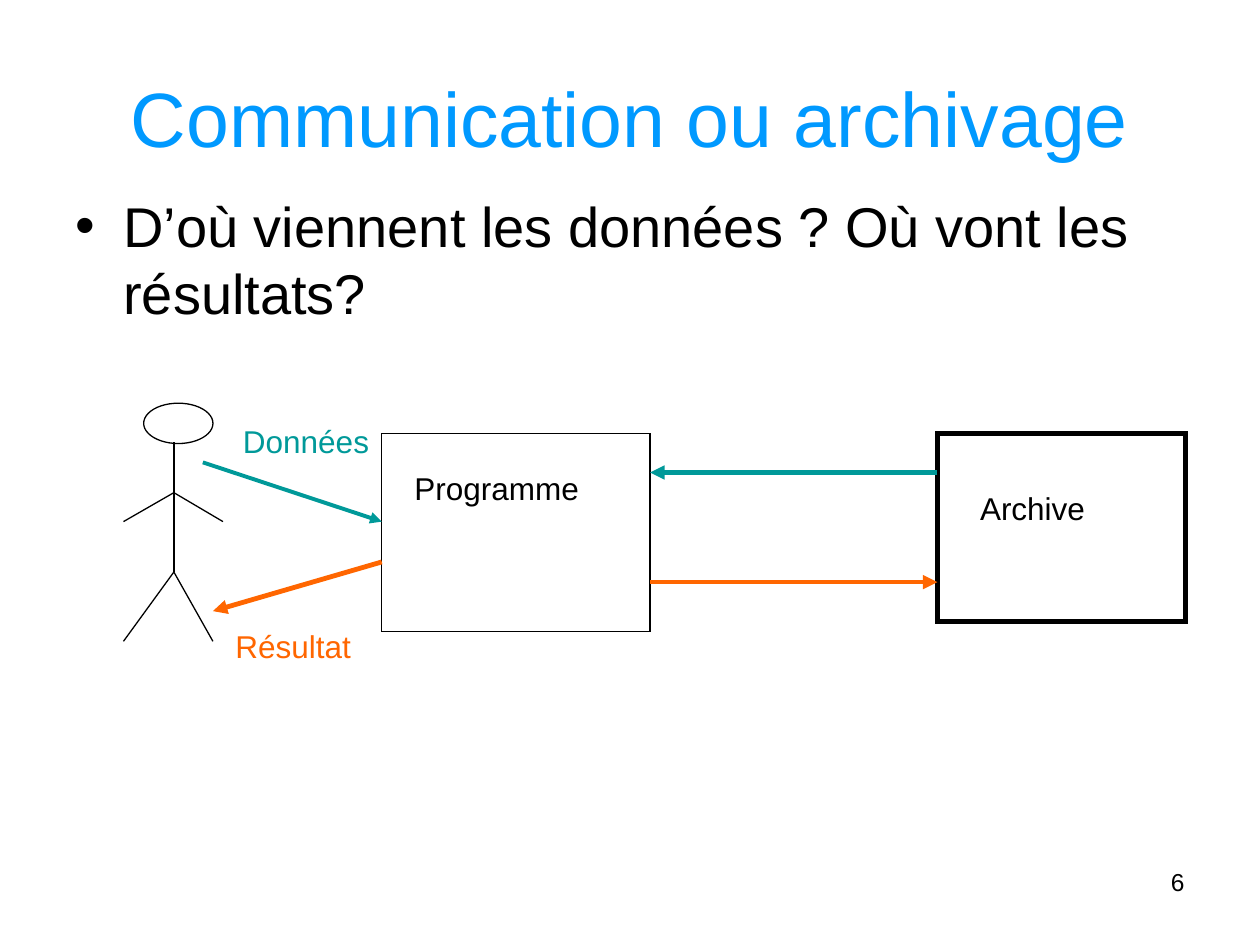
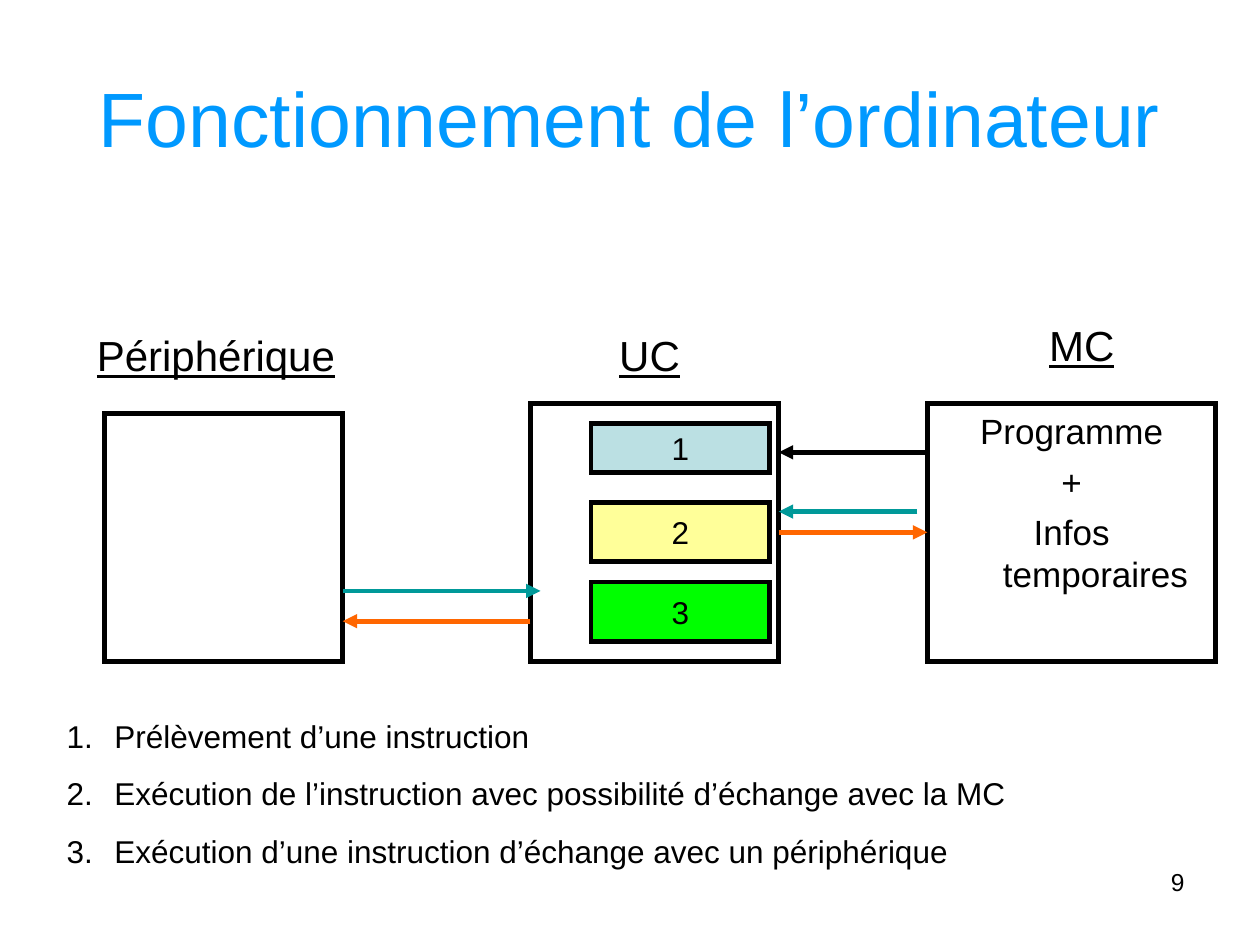
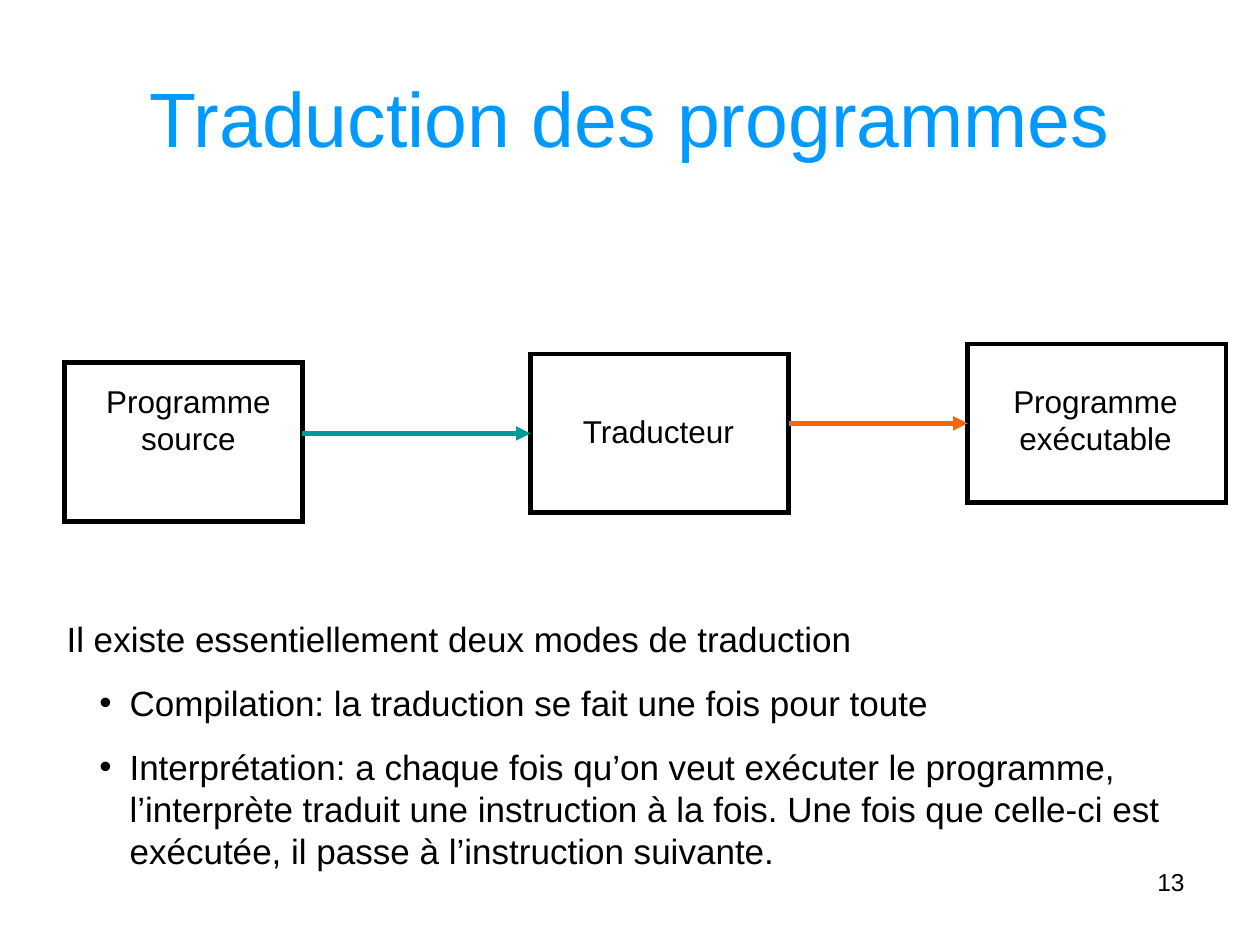
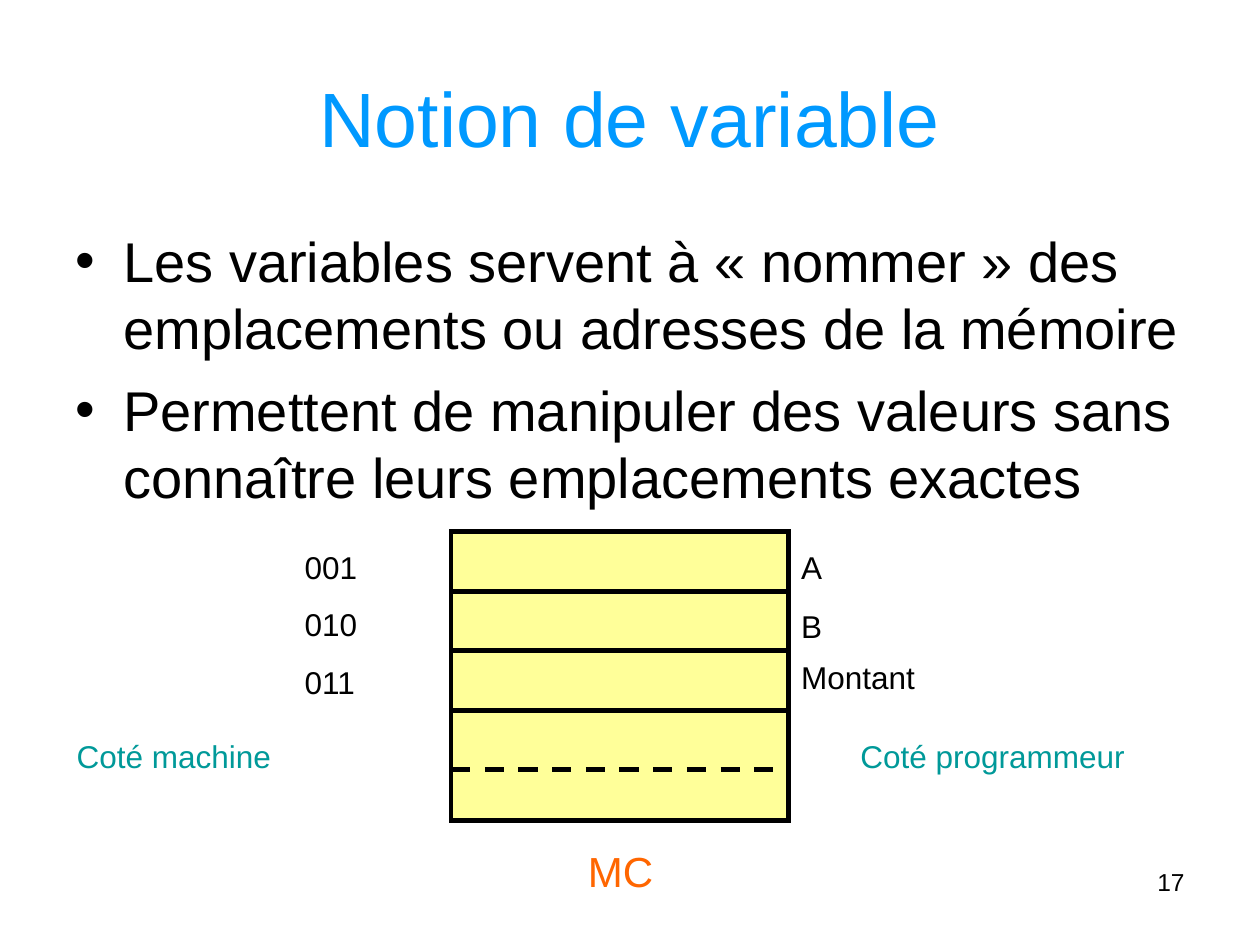
from dataclasses import dataclass

from pptx import Presentation
from pptx.dml.color import RGBColor
from pptx.enum.dml import MSO_LINE
from pptx.enum.shapes import MSO_CONNECTOR, MSO_SHAPE
from pptx.enum.text import MSO_ANCHOR, PP_ALIGN
from pptx.oxml.ns import qn
from pptx.util import Inches, Pt
from lxml.etree import SubElement


@dataclass(frozen=True)
class Theme:
    font: str = "Arial"
    title: str = "0099FF"
    ink: str = "000000"
    data: str = "009999"
    result: str = "FF6600"
    memory: str = "FFFF99"
    register: str = "BBE0E3"
    exchange: str = "00FF00"
    title_size: int = 44
    body_size: int = 32
    heading_size: int = 24
    text_size: int = 20
    label_size: int = 18
    number_size: int = 14
    thin: float = 0.75
    medium: float = 2.25
    thick: float = 2.75


THEME = Theme()
CENTER, RIGHT = PP_ALIGN.CENTER, PP_ALIGN.RIGHT
HANGING = (0.38, -0.38)


# Text
def set_bullet(paragraph, bullet):
    """Give the paragraph a bullet character, or automatic numbers for "1."."""
    properties = paragraph._p.get_or_add_pPr()
    color = SubElement(properties, qn("a:buClr"))
    SubElement(color, qn("a:srgbClr"), val=THEME.ink)
    SubElement(properties, qn("a:buFont"), typeface=THEME.font)
    if bullet == "1.":
        SubElement(properties, qn("a:buAutoNum"), type="arabicPeriod")
    else:
        SubElement(properties, qn("a:buChar"), char=bullet)


def format_paragraph(paragraph, size, color=THEME.ink, align=None, before=0,
                     indent=None, bullet=None, underline=False):
    paragraph.alignment = align
    paragraph.space_before = Pt(before)
    if indent:
        properties = paragraph._p.get_or_add_pPr()
        for name, length in zip(("marL", "indent"), indent):
            properties.set(name, str(Inches(length)))
    if bullet:
        set_bullet(paragraph, bullet)
    for run in paragraph.runs:
        run.font.name = THEME.font
        run.font.size = Pt(size)
        run.font.color.rgb = RGBColor.from_string(color)
        if underline:
            run.font.underline = True


def write(shape, text, size, anchor=MSO_ANCHOR.TOP, wrap=True, **style):
    text_frame = shape.text_frame
    text_frame.text = text
    text_frame.word_wrap = wrap
    text_frame.vertical_anchor = anchor
    for paragraph in text_frame.paragraphs:
        format_paragraph(paragraph, size, **style)


def add_text(slide, box, text, size=THEME.label_size, **style):
    shape = slide.shapes.add_textbox(*map(Inches, box))
    write(shape, text, size, **style)
    return shape


def add_bullets(slide, box, text):
    add_text(slide, box, text, THEME.body_size, before=8, indent=HANGING, bullet="•")


def add_heading(slide, box, text, **style):
    add_text(slide, box, text, THEME.heading_size, **style)


# Shapes and lines
def add_to_outline(shape, tag, **attributes):
    outline = shape._element.spPr.find(qn("a:ln"))
    SubElement(outline, qn(tag), **attributes)


def add_box(slide, box, fill=None, weight=THEME.thick, kind=MSO_SHAPE.RECTANGLE):
    shape = slide.shapes.add_shape(kind, *map(Inches, box))
    shape.shadow.inherit = False
    if fill:
        shape.fill.solid()
        shape.fill.fore_color.rgb = RGBColor.from_string(fill)
    else:
        shape.fill.background()
    shape.line.color.rgb = RGBColor.from_string(THEME.ink)
    shape.line.width = Pt(weight)
    add_to_outline(shape, "a:miter", lim="800000")
    return shape


def add_line(slide, start, end, color=THEME.ink, weight=THEME.thick, dashed=False):
    connector = slide.shapes.add_connector(
        MSO_CONNECTOR.STRAIGHT, *map(Inches, (*start, *end)))
    connector.line.color.rgb = RGBColor.from_string(color)
    connector.line.width = Pt(weight)
    if dashed:
        connector.line.dash_style = MSO_LINE.DASH
    SubElement(connector._element.spPr, qn("a:effectLst"))
    return connector


def add_arrow(slide, start, end, color, weight=THEME.thick):
    connector = add_line(slide, start, end, color, weight)
    add_to_outline(connector, "a:tailEnd", type="triangle")
    return connector


def add_stick_figure(slide):
    add_box(slide, (1.14, 3.2, 0.55, 0.32), weight=THEME.thin, kind=MSO_SHAPE.OVAL)
    neck, shoulder, hip = (1.38, 3.51), (1.38, 3.91), (1.38, 4.54)
    limbs = [(neck, hip), (shoulder, (1.77, 4.14)), (shoulder, (0.98, 4.14)),
             (hip, (1.69, 5.09)), (hip, (0.98, 5.09))]
    for start, end in limbs:
        add_line(slide, start, end, weight=THEME.thin)


# Slides
def add_slide(presentation, title, number):
    slide = presentation.slides.add_slide(presentation.slide_layouts[6])
    add_text(slide, (0.5, 0.3, 9, 1.25), title, THEME.title_size,
             color=THEME.title, align=CENTER, anchor=MSO_ANCHOR.MIDDLE)
    add_text(slide, (7.17, 6.83, 2.33, 0.52), str(number), THEME.number_size, align=RIGHT)
    return slide


def build_communication(presentation):
    slide = add_slide(presentation, "Communication ou archivage", 6)
    add_bullets(slide, (0.5, 1.47, 9, 5.23),
                "D’où viennent les données ? Où vont les résultats?")
    add_stick_figure(slide)

    # Program and archive
    add_box(slide, (3.03, 3.44, 2.13, 1.57), weight=THEME.thin)
    add_text(slide, (3.19, 3.67, 1.73, 0.4), "Programme", before=11.2)
    add_box(slide, (7.44, 3.44, 1.97, 1.49))
    add_text(slide, (7.68, 3.83, 1.5, 0.4), "Archive", before=11.2)

    # Exchanges
    add_arrow(slide, (1.61, 3.67), (3.03, 4.14), THEME.data, THEME.medium)
    add_arrow(slide, (3.03, 4.46), (1.69, 4.85), THEME.result)
    add_text(slide, (1.83, 3.3, 1.25, 0.4), "Données", color=THEME.data)
    add_text(slide, (1.77, 4.93, 1.25, 0.4), "Résultat", color=THEME.result)
    add_arrow(slide, (5.16, 4.62), (7.44, 4.62), THEME.result)
    add_arrow(slide, (7.44, 3.75), (5.16, 3.75), THEME.data)


def build_computer(presentation):
    slide = add_slide(presentation, "Fonctionnement de l’ordinateur", 9)

    # Device, processing unit and memory
    add_box(slide, (0.83, 3.28, 1.89, 1.97))
    unit = add_box(slide, (4.21, 3.2, 1.97, 2.05))
    memory = add_box(slide, (7.36, 3.2, 2.29, 2.05))
    write(memory, "Programme\n+\nInfos temporaires", THEME.text_size,
          align=CENTER, before=5, indent=HANGING)
    add_heading(slide, (7.68, 2.49, 1.81, 0.5), "MC", align=CENTER, before=15, underline=True)
    add_heading(slide, (4.13, 2.57, 2.05, 0.5), "UC", align=CENTER, before=15, underline=True)
    add_heading(slide, (0.67, 2.57, 2.2, 0.5), "Périphérique", before=15, underline=True)

    # Exchanges
    add_arrow(slide, (2.72, 4.69), (4.29, 4.69), THEME.data)
    add_arrow(slide, (4.21, 4.93), (2.72, 4.93), THEME.result)
    add_arrow(slide, (7.36, 3.59), (6.18, 3.59), THEME.ink)
    add_arrow(slide, (7.28, 4.06), (6.18, 4.06), THEME.data)
    store = add_arrow(slide, (6.18, 4.22), (7.36, 4.22), THEME.result)
    store.begin_connect(unit, 3)
    store.end_connect(memory, 1)

    # Steps inside the unit
    steps = [(3.36, 0.39, THEME.register), (3.99, 0.47, THEME.memory),
             (4.62, 0.47, THEME.exchange)]
    for number, (top, height, fill) in enumerate(steps, 1):
        step = add_box(slide, (4.69, top, 1.42, height), fill)
        write(step, str(number), THEME.label_size, align=CENTER,
              anchor=MSO_ANCHOR.MIDDLE, wrap=False)
    add_text(slide, (0.43, 5.64, 9.06, 1.32),
             "Prélèvement d’une instruction\n"
             "Exécution de l’instruction avec possibilité d’échange avec la MC\n"
             "Exécution d’une instruction d’échange avec un périphérique",
             before=11.2, indent=HANGING, bullet="1.")


def build_translation(presentation):
    slide = add_slide(presentation, "Traduction des programmes", 13)

    # Source, translator and executable
    add_box(slide, (0.51, 2.88, 1.89, 1.26))
    translator = add_box(slide, (4.21, 2.81, 2.05, 1.26))
    executable = add_box(slide, (7.68, 2.73, 2.05, 1.26))
    labels = [("Programme source", (0.59, 2.98, 1.81, 0.7)),
              ("Traducteur", (4.27, 3.22, 1.91, 0.4)),
              ("Programme exécutable", (7.66, 2.98, 2.07, 0.7))]
    for text, box in labels:
        add_text(slide, box, text, align=CENTER)
    add_arrow(slide, (2.4, 3.44), (4.21, 3.44), THEME.data).end_connect(translator, 1)
    add_arrow(slide, (6.26, 3.36), (7.68, 3.36), THEME.result).end_connect(executable, 1)

    # Translation modes
    modes = add_text(
        slide, (0.43, 4.85, 9.29, 2.12),
        "Il existe essentiellement deux modes de traduction\n"
        "Compilation: la traduction se fait une fois pour toute\n"
        "Interprétation: a chaque fois qu’on veut exécuter le programme, "
        "l’interprète traduit une instruction à la fois. "
        "Une fois que celle-ci est exécutée, il passe à l’instruction suivante.",
        THEME.text_size, before=12.5)
    for paragraph in modes.text_frame.paragraphs[1:]:
        paragraph.level = 1
        format_paragraph(paragraph, THEME.text_size, before=12.5,
                         indent=(0.5, -0.24), bullet="•")


def build_variable(presentation):
    slide = add_slide(presentation, "Notion de variable", 17)
    add_bullets(slide, (0.5, 1.75, 9, 4.95),
                "Les variables servent à « nommer » des emplacements ou adresses de la mémoire\n"
                "Permettent de manipuler des valeurs sans connaître leurs emplacements exactes")

    # Memory cells
    left, top, width, height, cells = 3.58, 4.22, 2.68, 2.29, 4
    right = left + width
    add_box(slide, (left, top, width, height), THEME.memory)
    for cell in range(1, cells + 1):
        y = top + cell * 1.89 / cells
        add_line(slide, (left, y), (right, y), dashed=cell == cells)

    # Names and addresses
    names = [("A", 4.3, 0.55), ("B", 4.77, 0.79), ("Montant", 5.17, 2.05)]
    for name, name_top, name_width in names:
        add_text(slide, (right, name_top, name_width, 0.4), name, before=11.2)
    add_text(slide, (2.32, 4.3, 1.1, 1.77), "001\n010\n011", before=11.2)
    add_heading(slide, (3.82, 6.66, 2.21, 0.5), "MC",
                color=THEME.result, align=CENTER, before=15)
    add_text(slide, (0.51, 5.8, 2.44, 0.4), "Coté machine", color=THEME.data, before=11.2)
    add_text(slide, (6.73, 5.8, 2.68, 0.4), "Coté programmeur", color=THEME.data, before=11.2)


def main():
    presentation = Presentation()
    presentation.slide_width, presentation.slide_height = Inches(10), Inches(7.5)
    build_communication(presentation)
    build_computer(presentation)
    build_translation(presentation)
    build_variable(presentation)
    presentation.save("out.pptx")


if __name__ == "__main__":
    main()
